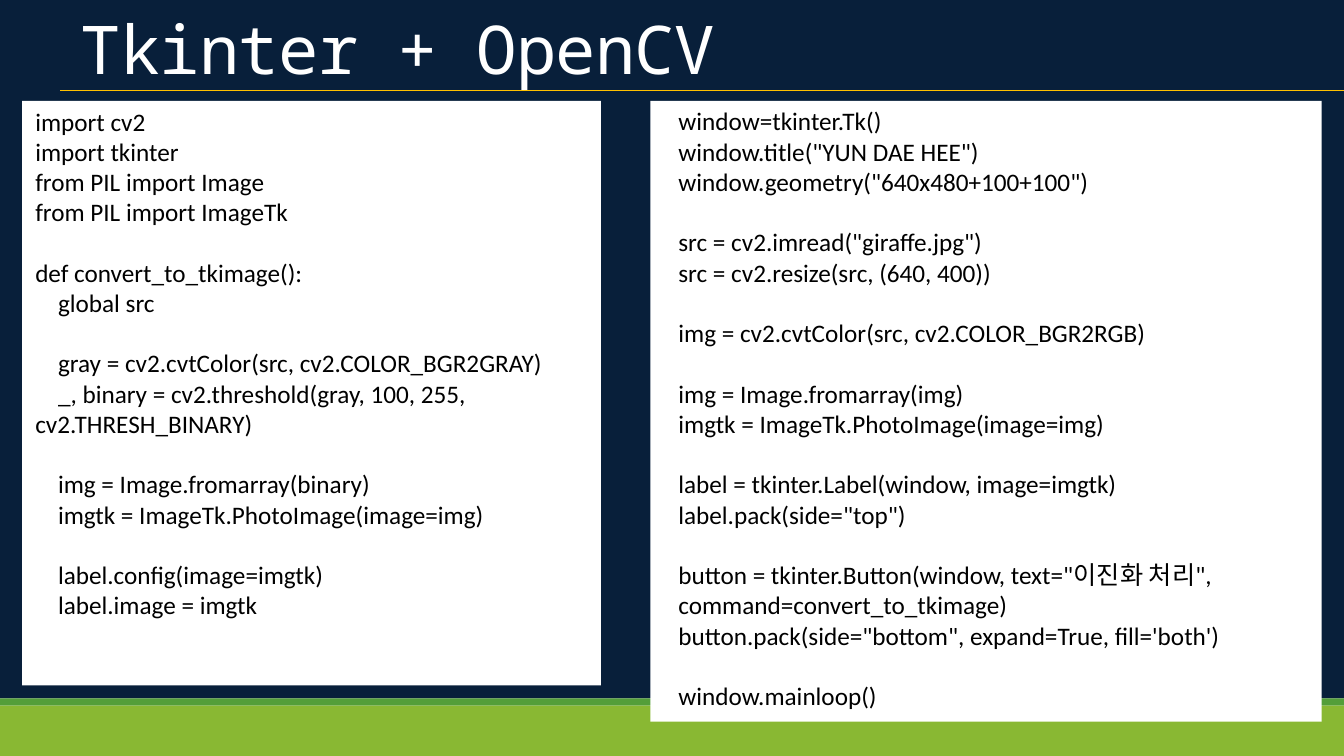
from pptx import Presentation
from pptx import util as u
from pptx.dml.color import RGBColor
from pptx.enum import shapes, text
from pptx.oxml.ns import qn
from lxml import etree

COLORS = {"navy": "081F3A", "green": "539E39", "lime": "89B833",
          "white": "FFFFFF", "black": "000000", "gold": "FFC000"}
WIDTH, HEIGHT = 13.33, 7.5

SETUP_CODE = """import cv2
import tkinter
from PIL import Image
from PIL import ImageTk

def convert_to_tkimage():
    global src

    gray = cv2.cvtColor(src, cv2.COLOR_BGR2GRAY)
    _, binary = cv2.threshold(gray, 100, 255, cv2.THRESH_BINARY)

    img = Image.fromarray(binary)
    imgtk = ImageTk.PhotoImage(image=img)

    label.config(image=imgtk)
    label.image = imgtk"""

WINDOW_CODE = """window=tkinter.Tk()
window.title("YUN DAE HEE")
window.geometry("640x480+100+100")

src = cv2.imread("giraffe.jpg")
src = cv2.resize(src, (640, 400))

img = cv2.cvtColor(src, cv2.COLOR_BGR2RGB)

img = Image.fromarray(img)
imgtk = ImageTk.PhotoImage(image=img)

label = tkinter.Label(window, image=imgtk)
label.pack(side="top")

button = tkinter.Button(window, text="이진화 처리", command=convert_to_tkimage)
button.pack(side="bottom", expand=True, fill='both')

window.mainloop()"""


def rgb(name):
    """Return the named colour."""
    return RGBColor.from_string(COLORS[name])


def inches(values):
    """Convert a sequence of numbers to lengths."""
    return [u.Inches(v) for v in values]


def add_block(s, box, color):
    """Add a plain filled rectangle."""
    sp = s.shapes.add_shape(shapes.MSO_SHAPE.RECTANGLE, *inches(box))
    sp.shadow.inherit = False
    sp.fill.solid()
    sp.fill.fore_color.rgb = rgb(color)
    sp.line.fill.background()


def add_text_frame(s, box, insets):
    """Add a wrapping text box and return its frame."""
    tf = s.shapes.add_textbox(*inches(box)).text_frame
    tf.word_wrap = True
    tf.vertical_anchor = text.MSO_ANCHOR.TOP
    (tf.margin_left, tf.margin_top,
     tf.margin_right, tf.margin_bottom) = inches(insets)
    return tf


def add_run(p, content, font, size, color):
    """Add one formatted run to a paragraph."""
    r = p.add_run()
    r.text = content
    r.font.name = font
    r.font.size = u.Pt(size)
    r.font.color.rgb = rgb(color)
    return r


def add_background(s, box):
    """Stack the navy field and the two green bands from top to bottom."""
    left, top, width, height = box
    for color, share in (("navy", height - 0.57), ("green", 0.07), ("lime", 0.5)):
        add_block(s, (left, top, width, share), color)
        top += share


def add_title(s, box, title):
    """Add the title and the rule under it, running to the slide edge."""
    left, top, width, height = box
    tf = add_text_frame(s, box, (0, 0.01, 0, 0))
    r = add_run(tf.paragraphs[0], title, "Noto Sans Mono", 48, "white")
    r.font._element.set("spc", "-50")
    y = top + height + 0.02
    rule = s.shapes.add_connector(shapes.MSO_CONNECTOR.STRAIGHT,
                                  *inches((left - 0.2, y, WIDTH, y)))
    rule.line.color.rgb = rgb("gold")
    rule.line.width = u.Pt(0.48)
    etree.SubElement(rule._element.spPr, qn("a:effectLst"))


def add_code_panel(s, box, offset, size, insets, code):
    """Add a white panel with code, turning blank lines into spacing."""
    left, top, _, _ = box
    dx, dy = offset
    add_block(s, box, "white")
    tf = add_text_frame(s, (left + dx, top + dy, *size), insets)
    p, gap = tf.paragraphs[0], 0
    for i, line in enumerate(code.split("\n")):
        if not line:
            gap = 21.6
            continue
        if i:
            p = tf.add_paragraph()
        if gap:
            p.space_before = u.Pt(gap)
            gap = 0
        add_run(p, line, "Calibri", 18, "black")


def main():
    """Build and save the slide."""
    prs = Presentation()
    prs.slide_width, prs.slide_height = inches((WIDTH, HEIGHT))
    s = prs.slides.add_slide(prs.slide_layouts[6])
    add_background(s, (0, 0, WIDTH, HEIGHT))
    add_title(s, (0.8, 0.06, 10.06, 0.82), "Tkinter + OpenCV")
    add_code_panel(s, (0.22, 1, 5.74, 5.8), (0.13, -0.1), (5.61, 5.6),
                   (0, 0.15, 0, 0), SETUP_CODE)
    add_code_panel(s, (6.45, 1, 6.66, 6.16), (0.18, 0), (6.31, 6.16),
                   (0.1, 0.05, 0.1, 0.05), WINDOW_CODE)
    prs.save("out.pptx")


if __name__ == "__main__":
    main()
